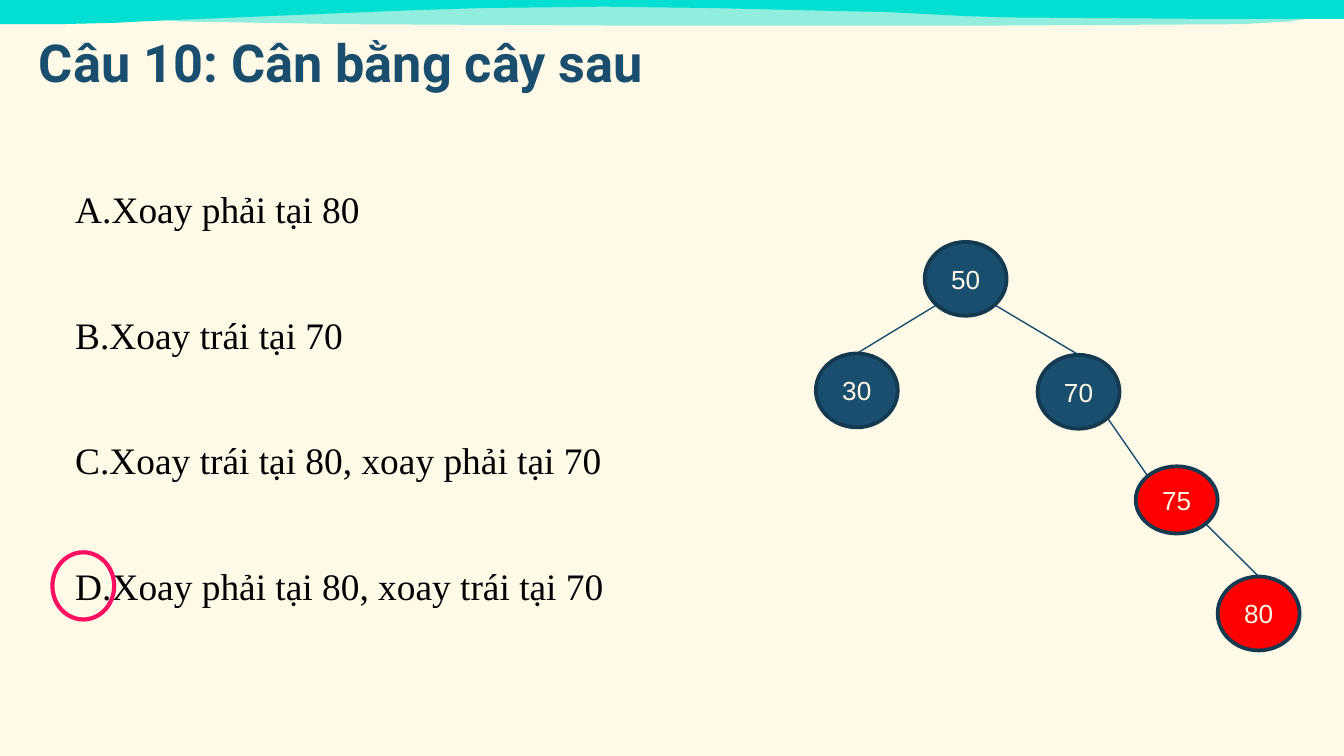
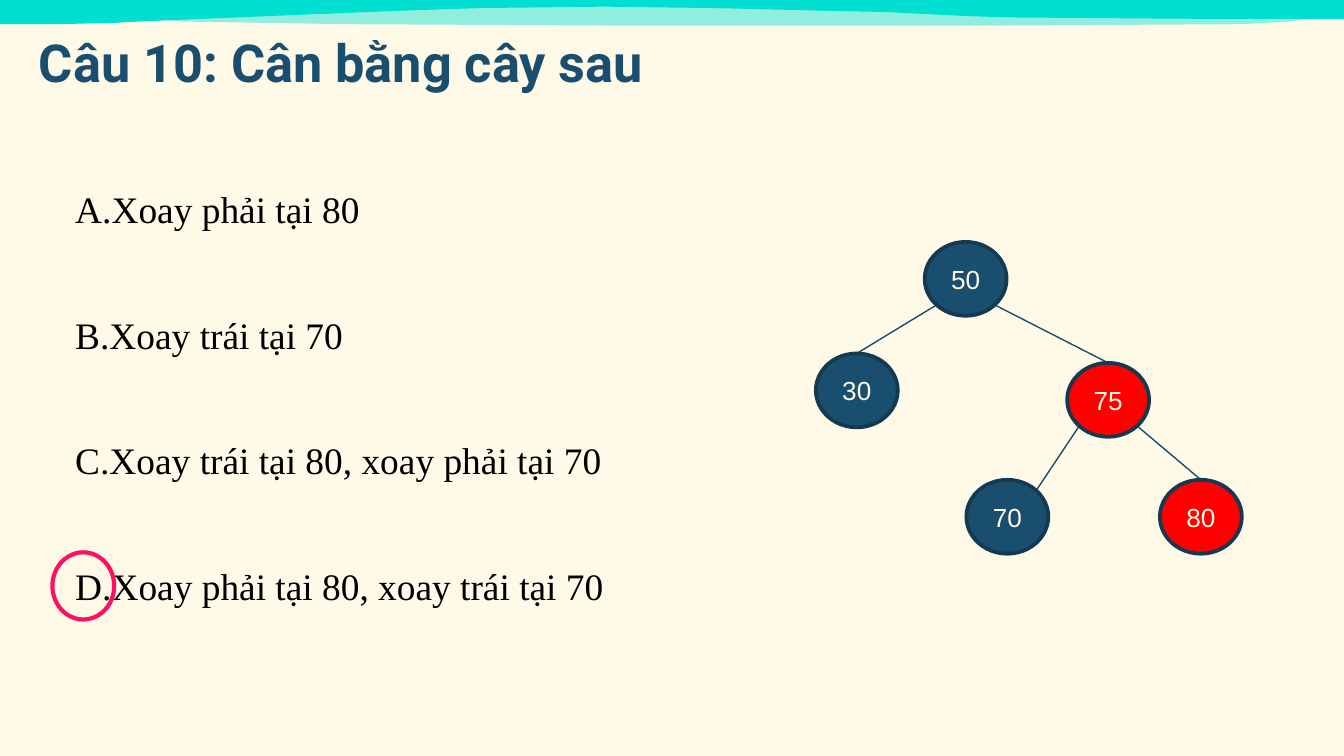
"""Build two quiz slides about balancing a binary search tree."""
import lxml.etree
import pptx
import pptx.dml.color
import pptx.enum.shapes
import pptx.enum.text
import pptx.oxml.ns
import pptx.util

Inches = pptx.util.Inches
Pt = pptx.util.Pt
qn = pptx.oxml.ns.qn

CREAM, NAVY, DARK_NAVY, LINE_BLUE = "FFF9E7", "1A4E6E", "133A51", "174D6E"
TURQUOISE, RED, PINK, BLACK = "00DFD1", "FF0000", "FF0F62", "000000"


def color(value):
    return pptx.dml.color.RGBColor.from_string(value)


def add_ellipse(slide, left, top, width, height, line, line_width):
    shape = slide.shapes.add_shape(
        pptx.enum.shapes.MSO_SHAPE.OVAL, Inches(left), Inches(top), Inches(width), Inches(height))
    shape.shadow.inherit = False
    shape.fill.background()
    shape.line.color.rgb = color(line)
    shape.line.width = Pt(line_width)
    return shape


title_text = "Câu 10: Cân bằng cây sau"
answers = [
    "Xoay phải tại 80",
    "Xoay trái tại 70",
    "Xoay trái tại 80, xoay phải tại 70",
    "Xoay phải tại 80, xoay trái tại 70",
]

node_width, node_height = 0.61, 0.55
sites = {
    "top": (0.5, 0),
    "top left": (0.15, 0.15),
    "top right": (0.85, 0.15),
    "bottom left": (0.15, 0.85),
    "bottom right": (0.85, 0.85),
}
shared_nodes = {"50": (6.88, 1.8, node_height, NAVY), "30": (6.07, 2.63, node_height, NAVY)}
shared_edges = [("50", "bottom left", "30", "top")]
trees = [
    (
        {"70": (7.72, 2.64, node_height, NAVY),
         "75": (8.45, 3.47, 0.5, RED),
         "80": (9.06, 4.29, node_height, RED)},
        [("50", "bottom right", "70", "top"),
         ("70", "bottom right", "75", "top left"),
         ("75", "bottom right", "80", "top")],
    ),
    (
        {"75": (7.94, 2.7, node_height, RED),
         "70": (7.19, 3.57, node_height, NAVY),
         "80": (8.63, 3.57, node_height, RED)},
        [("50", "bottom right", "75", "top"),
         ("75", "bottom left", "70", "top right"),
         ("75", "bottom right", "80", "top")],
    ),
]

waves = [
    ([(0, 0), (0, 0.18), (0.43, 0.18), (0.86, 0.17), (1.04, 0.16), (2, 0.12), (2.97, 0.08),
      (3.58, 0.06), (4.49, 0.05), (5.3, 0.06), (6.14, 0.08), (6.6, 0.09), (7.19, 0.12),
      (7.52, 0.13), (8.86, 0.14), (10, 0.14), (10, 0)], 100),
    ([(0.98, 0.04), (9.93, 0.06), (9.81, 0.12), (9.6, 0.16), (9.23, 0.18), (7.4, 0.19),
      (4.58, 0.19), (2.59, 0.18), (1.34, 0.16), (1.08, 0.13), (0.99, 0.09)], 43),
]

presentation = pptx.Presentation()
presentation.slide_width = Inches(10)
presentation.slide_height = Inches(10) * 9 // 16

layout = presentation.slide_layouts[1]
layout.background.fill.solid()
layout.background.fill.fore_color.rgb = color(CREAM)
slides = [presentation.slides.add_slide(layout) for tree in trees]

for points, opacity in waves:
    corners = [(Inches(x), Inches(y)) for x, y in points]
    builder = slides[0].shapes.build_freeform(*corners[0])
    builder.add_line_segments(corners[1:], close=True)
    wave = builder.convert_to_shape()
    wave.shadow.inherit = False
    wave.fill.solid()
    wave.fill.fore_color.rgb = color(TURQUOISE)
    wave.line.fill.background()
    tint = wave.element.spPr.find(qn("a:solidFill"))[0]
    lxml.etree.SubElement(tint, qn("a:alpha"), val=str(opacity * 1000))
    layout.shapes.element.append(wave.element)

for slide, (nodes, edges) in zip(slides, trees):
    title, body = slide.shapes.title, slide.placeholders[1]
    for placeholder, box in ((title, (0.19, 0, 9.43, 0.79)), (body, (0.46, 1.26, 5.59, 3.73))):
        placeholder.left, placeholder.top, placeholder.width, placeholder.height = map(Inches, box)
        frame = placeholder.text_frame
        frame.word_wrap = True
        frame.auto_size = pptx.enum.text.MSO_AUTO_SIZE.NONE
        frame.margin_left = frame.margin_right = Inches(0.1)
        frame.margin_top = frame.margin_bottom = Inches(0.1)

    title.text_frame.text = title_text
    title.text_frame.vertical_anchor = pptx.enum.text.MSO_ANCHOR.BOTTOM
    paragraph = title.text_frame.paragraphs[0]
    paragraph.alignment = pptx.enum.text.PP_ALIGN.LEFT
    paragraph.font.name = "Roboto"
    paragraph.font.size = Pt(28)
    paragraph.font.bold = True
    paragraph.font.color.rgb = color(NAVY)

    body.text_frame.text = "\n".join(answers)
    for paragraph in body.text_frame.paragraphs:
        paragraph.line_spacing = 1.07
        paragraph.space_before = Pt(0)
        paragraph.space_after = Pt(41.7)
        properties = paragraph._p.get_or_add_pPr()
        properties.set("marL", str(Inches(0.05)))
        properties.set("indent", str(Inches(-0.38)))
        bullet_color = lxml.etree.SubElement(properties, qn("a:buClr"))
        lxml.etree.SubElement(bullet_color, qn("a:srgbClr"), val=BLACK)
        lxml.etree.SubElement(properties, qn("a:buFont"), typeface="Times New Roman")
        lxml.etree.SubElement(properties, qn("a:buAutoNum"), type="alphaUcPeriod")
        paragraph.font.name = "Times New Roman"
        paragraph.font.size = Pt(20)
        paragraph.font.color.rgb = color(BLACK)

    add_ellipse(slide, 0.39, 4.11, 0.46, 0.5, PINK, 2.25)

    nodes = {**shared_nodes, **nodes}
    for parent, parent_site, child, child_site in shared_edges + edges:
        ends = []
        for label, site in ((parent, parent_site), (child, child_site)):
            left, top, height, fill = nodes[label]
            across, down = sites[site]
            ends += [Inches(left + across * node_width), Inches(top + down * height)]
        connector = slide.shapes.add_connector(pptx.enum.shapes.MSO_CONNECTOR.STRAIGHT, *ends)
        connector.line.color.rgb = color(LINE_BLUE)
        connector.line.width = Pt(0.75)
        lxml.etree.SubElement(connector.element.spPr, qn("a:effectLst"))

    for label, (left, top, height, fill) in nodes.items():
        node = add_ellipse(slide, left, top, node_width, height, DARK_NAVY, 2)
        node.fill.solid()
        node.fill.fore_color.rgb = color(fill)
        node.text_frame.text = label
        node.text_frame.vertical_anchor = pptx.enum.text.MSO_ANCHOR.MIDDLE
        paragraph = node.text_frame.paragraphs[0]
        paragraph.alignment = pptx.enum.text.PP_ALIGN.CENTER
        paragraph.font.name = "Arial"
        paragraph.font.size = Pt(14)
        paragraph.font.color.rgb = color(CREAM)

presentation.save("out.pptx")
